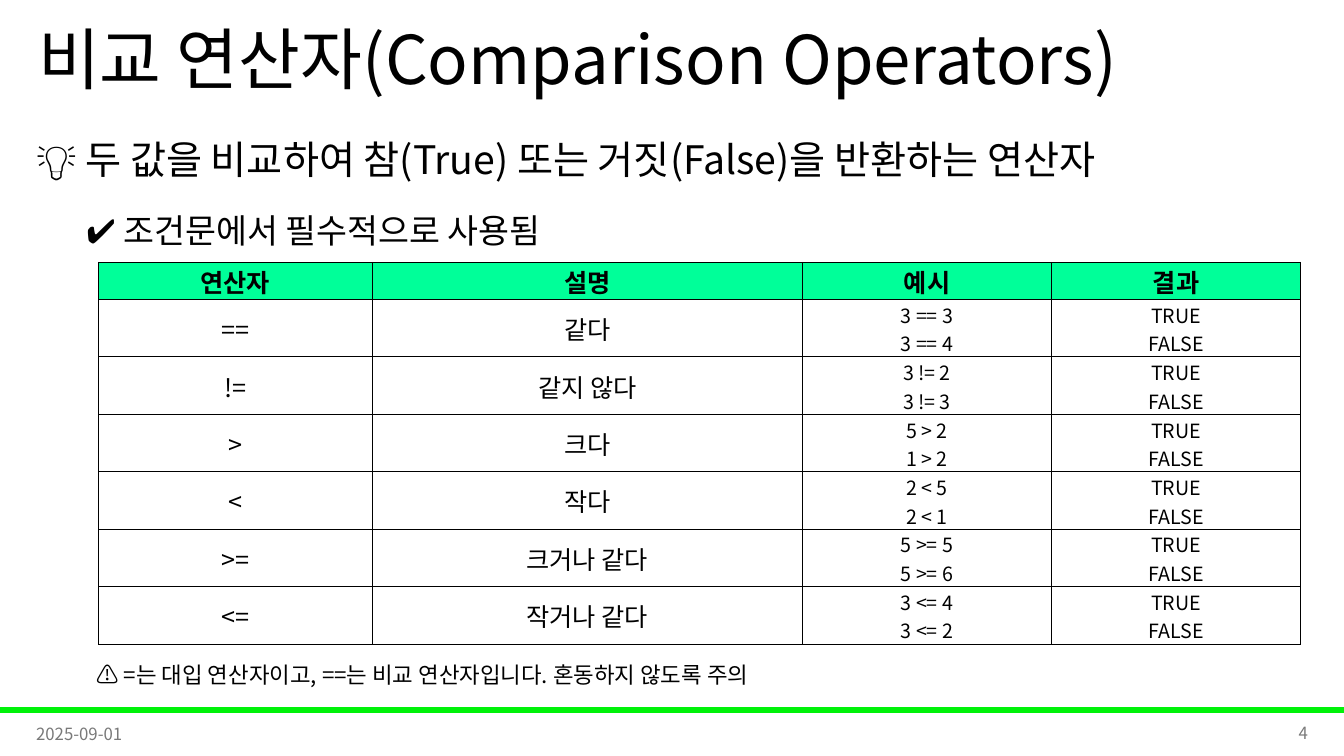
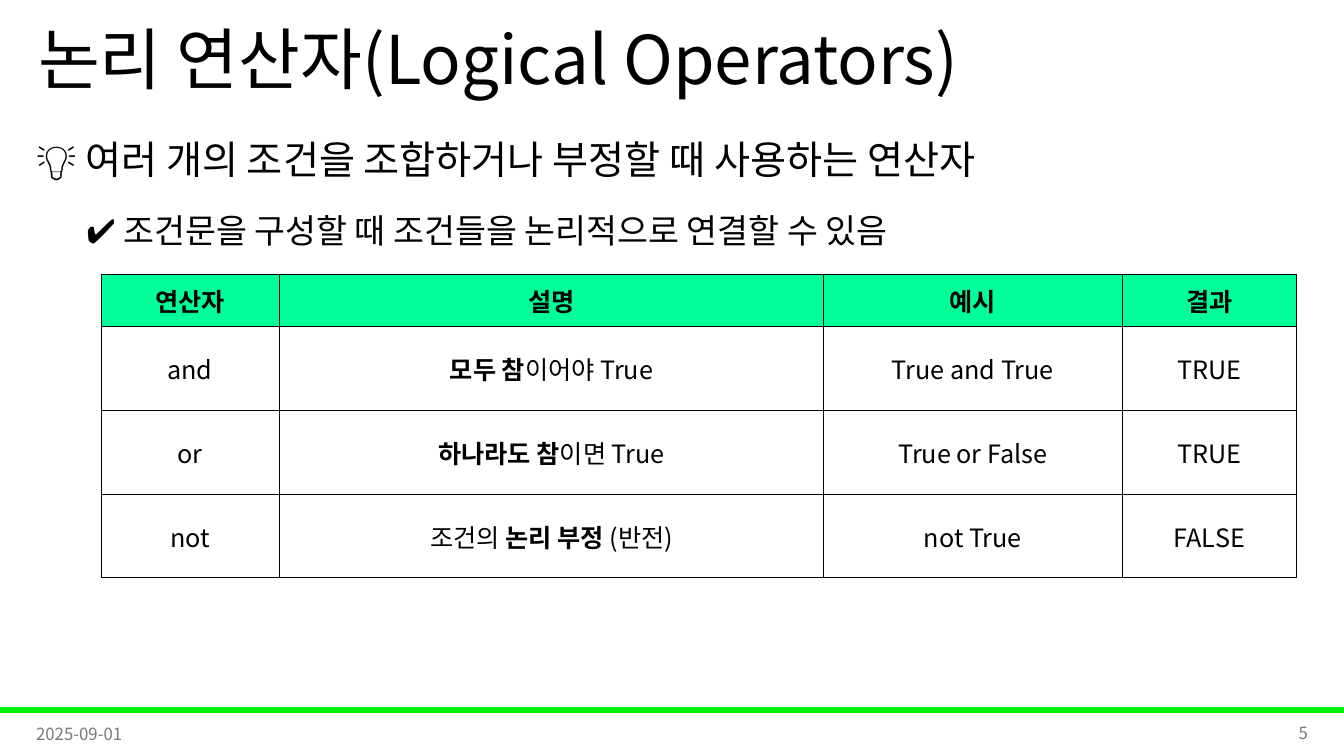
from lxml import etree
from pptx import Presentation
from pptx.dml.color import RGBColor
from pptx.enum.shapes import MSO_SHAPE
from pptx.enum.text import MSO_ANCHOR, PP_ALIGN
from pptx.oxml.ns import qn
from pptx.util import Emu, Pt

RECTANGLE = MSO_SHAPE.RECTANGLE
TOP, MIDDLE = MSO_ANCHOR.TOP, MSO_ANCHOR.MIDDLE
LEFT, CENTER, RIGHT = PP_ALIGN.LEFT, PP_ALIGN.CENTER, PP_ALIGN.RIGHT

EMU_PER_PX = 9144  # 100 px to the inch
SLIDE_WIDTH, SLIDE_HEIGHT = 1333, 750
FONT = "Noto Sans CJK KR"
INK, GREY = "000000", "797979"
BAND_GREEN, HEADER_GREEN = "00F209", "00FF99"

DATE = "2025-09-01"
HEADINGS = ["연산자", "설명", "예시", "결과"]
BOTH_RESULTS = "TRUE\nFALSE"
COMPARISONS = [
    ["==", "같다", "3 == 3\n3 == 4", BOTH_RESULTS],
    ["!=", "같지 않다", "3 != 2\n3 != 3", BOTH_RESULTS],
    [">", "크다", "5 > 2\n1 > 2", BOTH_RESULTS],
    ["<", "작다", "2 < 5\n2 < 1", BOTH_RESULTS],
    [">=", "크거나 같다", "5 >= 5\n5 >= 6", BOTH_RESULTS],
    ["<=", "작거나 같다", "3 <= 4\n3 <= 2", BOTH_RESULTS],
]
LOGIC = [
    ["and", "**모두 참**이어야 True", "True and True", "TRUE"],
    ["or", "**하나라도 참**이면 True", "True or False", "TRUE"],
    ["not", "조건의 **논리 부정 **(반전)", "not True", "FALSE"],
]


def px(length):
    return Emu(length * EMU_PER_PX)


def rgb(hex_color):
    return RGBColor.from_string(hex_color)


def set_attributes(target, values):
    for name, value in values.items():
        setattr(target, name, value)


def write(paragraph, text, size, color=INK, bold=False, **layout):
    """Fill a paragraph; parts between ** marks become bold."""
    set_attributes(paragraph, layout)
    for index, part in enumerate(text.split("**")):
        if not part:
            continue
        run = paragraph.add_run()
        run.text = part
        set_attributes(run.font, {"name": FONT, "size": Pt(size),
                                  "bold": bold or index % 2 == 1})
        run.font.color.rgb = rgb(color)
        east_asian = etree.SubElement(run.font._element, qn("a:ea"))
        east_asian.set("typeface", FONT)


def add_text_frame(slide, box, anchor=MIDDLE):
    frame = slide.shapes.add_textbox(*map(px, box)).text_frame
    set_attributes(frame, {"word_wrap": True, "vertical_anchor": anchor})
    return frame


def add_line_of_text(slide, box, text, size, anchor=MIDDLE, **style):
    frame = add_text_frame(slide, box, anchor)
    write(frame.paragraphs[0], text, size, **style)


def add_band(slide):
    band = slide.shapes.add_shape(
        RECTANGLE, *map(px, (0, 702, SLIDE_WIDTH, 5)))
    band.shadow.inherit = False
    band.fill.solid()
    band.fill.fore_color.rgb = rgb(BAND_GREEN)
    band.line.color.rgb = rgb(BAND_GREEN)
    band.line.width = Pt(1)


def add_summary(slide, idea, detail):
    frame = add_text_frame(slide, (26, 106, 1280, 166), TOP)
    write(frame.paragraphs[0], idea, 28,
          line_spacing=1.5, space_before=Pt(10))
    sub_point = frame.add_paragraph()
    write(sub_point, detail, 24, level=1,
          line_spacing=1.5, space_before=Pt(5))
    properties = sub_point._p.get_or_add_pPr()
    properties.set("marL", str(px(50)))
    properties.set("indent", "0")


def add_borders(cell):
    properties = cell._tc.get_or_add_tcPr()
    for side in ("lnL", "lnR", "lnT", "lnB"):
        line = etree.SubElement(properties, qn(f"a:{side}"), w=str(Pt(0.5)))
        fill = etree.SubElement(line, qn("a:solidFill"))
        etree.SubElement(fill, qn("a:srgbClr"), val=INK)


def fill_cell(cell, text, size, is_heading):
    set_attributes(cell, {
        "vertical_anchor": MIDDLE, "margin_left": px(1),
        "margin_right": px(1), "margin_top": px(1), "margin_bottom": 0})
    add_borders(cell)
    if is_heading:
        cell.fill.solid()
        cell.fill.fore_color.rgb = rgb(HEADER_GREEN)
    else:
        cell.fill.background()
    frame = cell.text_frame
    for index, line in enumerate(text.split("\n")):
        paragraph = frame.add_paragraph() if index else frame.paragraphs[0]
        write(paragraph, line, size, bold=is_heading, alignment=CENTER)


def add_operator_table(slide, origin, widths, heading_height, row_height,
                       operators, example_size):
    rows = [HEADINGS] + operators
    heights = [heading_height] + [row_height] * len(operators)
    box = (*origin, sum(widths), sum(heights))
    table = slide.shapes.add_table(
        len(rows), len(widths), *map(px, box)).table
    set_attributes(table, {"first_row": False, "horz_banding": False})
    for column, width in zip(table.columns, widths):
        column.width = px(width)
    for row_index, (texts, height) in enumerate(zip(rows, heights)):
        table.rows[row_index].height = px(height)
        for column_index, text in enumerate(texts):
            is_heading = row_index == 0
            size = 18 if is_heading or column_index < 2 else example_size
            fill_cell(table.cell(row_index, column_index), text, size,
                      is_heading)


def add_operator_slide(presentation, number, title, idea, detail):
    """Add a slide with the shared band, title, footer and summary."""
    slide = presentation.slides.add_slide(presentation.slide_layouts[6])
    add_band(slide)
    add_line_of_text(slide, (28, 0, 1150, 125), title, 48, line_spacing=0.9)
    add_line_of_text(slide, (26, 708, 300, 40), DATE, 12,
                     color=GREY, alignment=LEFT)
    add_line_of_text(slide, (1007, 707, 300, 40), str(number), 12,
                     color=GREY, alignment=RIGHT)
    add_summary(slide, idea, detail)
    return slide


def main():
    presentation = Presentation()
    set_attributes(presentation, {"slide_width": px(SLIDE_WIDTH),
                                  "slide_height": px(SLIDE_HEIGHT)})

    comparison = add_operator_slide(
        presentation, 4, "비교 연산자(Comparison Operators)",
        "💡 두 값을 비교하여 참(True) 또는 거짓(False)을 반환하는 연산자",
        "✔️ 조건문에서 필수적으로 사용됨")
    add_operator_table(comparison, (98, 260), (271, 427, 247, 247), 37, 57,
                       COMPARISONS, example_size=14)
    add_line_of_text(
        comparison, (86, 638, 1033, 46),
        "⚠️ =는 대입 연산자이고, ==는 비교 연산자입니다. 혼동하지 않도록 주의",
        16, TOP, line_spacing=1.5)

    logic = add_operator_slide(
        presentation, 5, "논리 연산자(Logical Operators)",
        "💡 여러 개의 조건을 조합하거나 부정할 때 사용하는 연산자",
        "✔️ 조건문을 구성할 때 조건들을 논리적으로 연결할 수 있음")
    add_operator_table(logic, (100, 272), (177, 540, 296, 173), 52, 83,
                       LOGIC, example_size=18)

    presentation.save("out.pptx")


if __name__ == "__main__":
    main()
